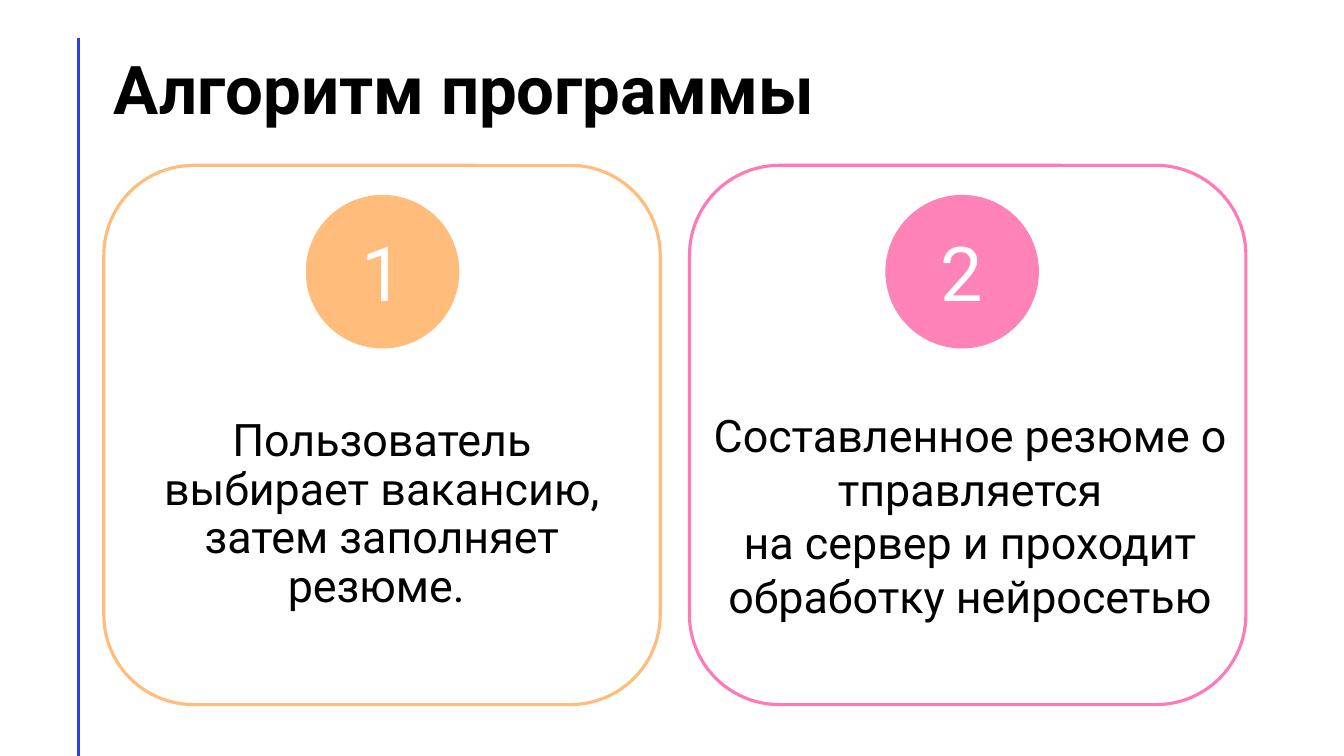
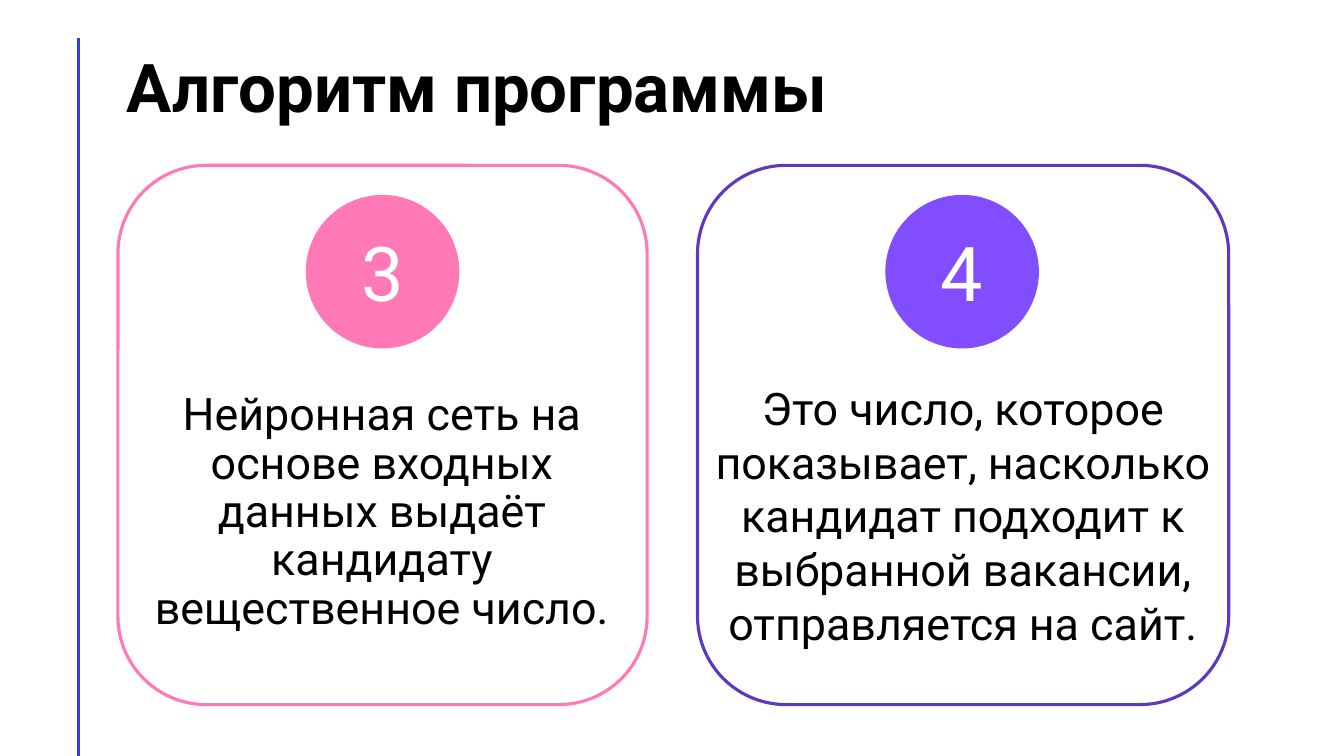
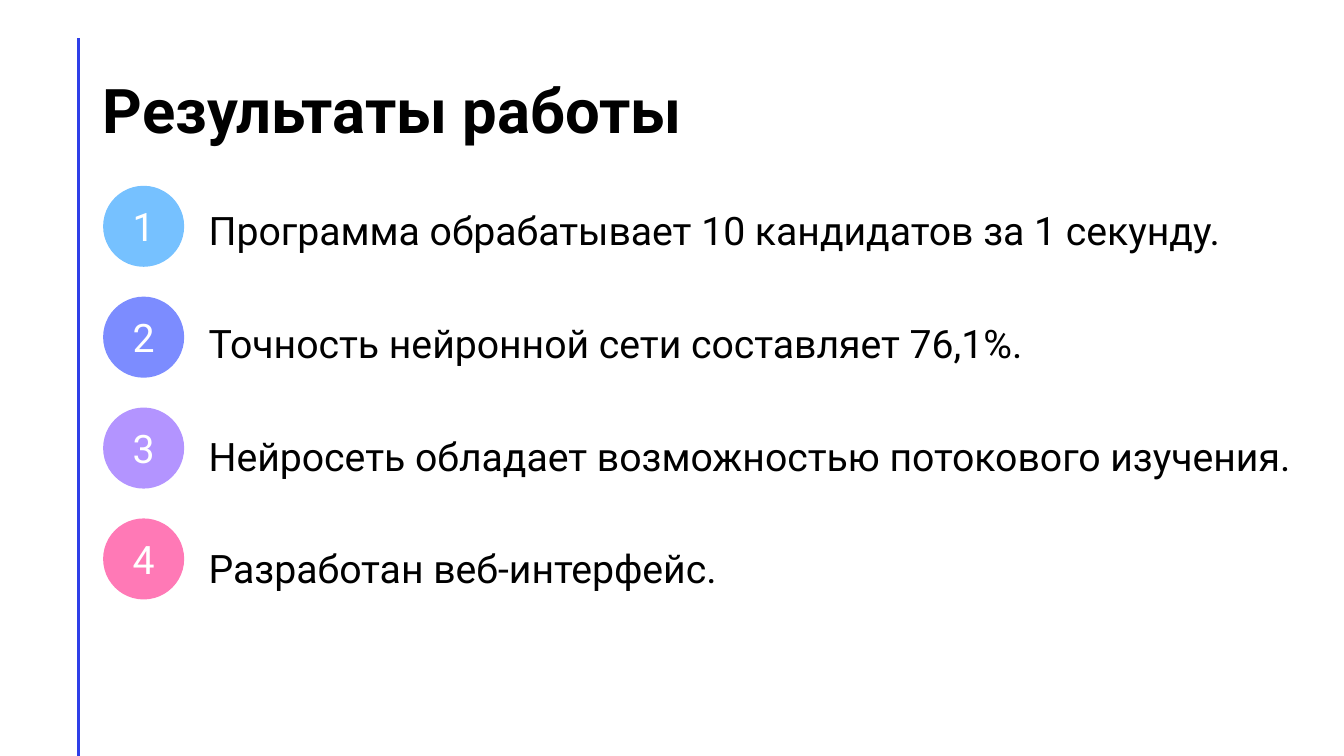
import pptx
import pptx.util
import pptx.dml.color
import pptx.enum.shapes
import pptx.enum.text
import lxml.etree

Inches, Pt = pptx.util.Inches, pptx.util.Pt
Align, Anchor = pptx.enum.text.PP_ALIGN, pptx.enum.text.MSO_ANCHOR
Shape = pptx.enum.shapes.MSO_SHAPE
DRAWING = "{http://schemas.openxmlformats.org/drawingml/2006/main}"

FONT = "Roboto"
BLACK, WHITE, RULE = "000000", "FFFFFF", "2F3FE8"
ORANGE, PINK, ROSE = "FFBC7A", "FF79B6", "FF83B6"
VIOLET, INDIGO = "814DFF", "5F39BD"
NO_BREAK_SPACE = chr(160)

# Cards: number, text ("_" is a no-break space), left, width, outline, circle.
ALGORITHM = [
    {"title": "Алгоритм программы", "title_at": (1.03, 0.19),
     "body_height": 3.3, "body_anchor": Anchor.MIDDLE,
     "cards": [
         ("1", "Пользователь выбирает_вакансию, затем_заполняет резюме._",
          1.03, 5.52, ORANGE, ORANGE),
         ("2", "Составленное_резюме_отправляется на_сервер_и_проходит "
               "обработку нейросетью", 6.84, 5.52, PINK, ROSE)],
     "text_boxes": [(1.16, 5.26), (6.92, 5.41)]},
    {"title": "Алгоритм программы", "title_at": (1.16, 0.18),
     "body_height": 2.88, "body_anchor": Anchor.BOTTOM,
     "cards": [
         ("3", "Нейронная сеть на основе входных данных выдаёт кандидату "
               "вещественное число.", 1.17, 5.25, PINK, PINK),
         ("4", "Это число, которое показывает, насколько кандидат подходит к "
               "выбранной вакансии, отправляется на сайт.",
          6.92, 5.27, INDIGO, VIOLET)],
     "text_boxes": [(1.16, 5.26), (6.92, 5.27)]},
]
CARD_TOP, CARD_HEIGHT = 1.64, 5.35
CARD_CIRCLE_TOP, CARD_CIRCLE_SIZE = 1.94, 1.51
CARD_CIRCLE_LEFT, CARD_CIRCLE_STEP = 3.04, 5.75
CARD_TEXT_TOP, CARD_TEXT_HEIGHT = 3.46, 3.3

RESULTS_TITLE = "Результаты работы"
RESULTS = [
    ("Программа обрабатывает 10 кандидатов за 1 секунду.", "76C1FF"),
    ("Точность_нейронной сети_составляет 76,1%.", "7C8CFF"),
    ("Нейросеть обладает возможностью потокового изучения.", "B394FF"),
    ("Разработан веб-интерфейс.", PINK),
]
RESULT_LEFT, RESULT_TOP, RESULT_STEP, RESULT_SIZE = 1.03, 1.85, 1.1, 0.79


def color(value):
    return pptx.dml.color.RGBColor.from_string(value)


def with_no_break_spaces(text):
    return text.replace("_", NO_BREAK_SPACE)


def place(shape, left, top, width, height):
    shape.left, shape.top = Inches(left), Inches(top)
    shape.width, shape.height = Inches(width), Inches(height)


def style(para, size, ink=BLACK, bold=False, align=Align.LEFT,
          line_spacing=1.0, before=0, after=0):
    para.font.name, para.font.size, para.font.bold = FONT, Pt(size), bold
    para.font.color.rgb = color(ink)
    para.alignment, para.line_spacing = align, line_spacing
    para.space_before, para.space_after = Pt(before), Pt(after)


def remove_bullet(para):
    properties = para._p.get_or_add_pPr()
    properties.set("marL", "0")
    properties.set("indent", "0")
    lxml.etree.SubElement(properties, DRAWING + "buNone")


def set_up_frame(shape, anchor):
    frame = shape.text_frame
    frame.word_wrap = True
    frame.auto_size = pptx.enum.text.MSO_AUTO_SIZE.NONE
    frame.vertical_anchor = anchor
    return frame


def add_page(deck, title, left, top, size):
    page = deck.slides.add_slide(deck.slide_layouts[1])
    place(page.shapes.title, left, top, 11.5, 1.45)
    frame = set_up_frame(page.shapes.title, Anchor.MIDDLE)
    frame.text = title
    style(frame.paragraphs[0], size, bold=True, line_spacing=0.9)
    return page


def add_circle(page, number, left, top, diameter, fill, size):
    circle = page.shapes.add_shape(Shape.OVAL, 0, 0, 0, 0)
    place(circle, left, top, diameter, diameter)
    circle.shadow.inherit = False
    circle.fill.solid()
    circle.fill.fore_color.rgb = circle.line.color.rgb = color(fill)
    circle.line.width = Pt(1)
    frame = set_up_frame(circle, Anchor.MIDDLE)
    frame.text = number
    style(frame.paragraphs[0], size, WHITE, align=Align.CENTER)


def add_card(page, left, width, outline):
    card = page.shapes.add_shape(Shape.ROUNDED_RECTANGLE, 0, 0, 0, 0)
    place(card, left, CARD_TOP, width, CARD_HEIGHT)
    card.shadow.inherit = False
    card.fill.background()
    card.line.color.rgb = color(outline)
    card.line.width = Pt(2.25)


def add_rule_to_layout(deck, page):
    """Draw the vertical rule once, on the layout that all pages use."""
    rule = page.shapes.add_connector(
        pptx.enum.shapes.MSO_CONNECTOR.STRAIGHT,
        Inches(0.78), Inches(0.38), Inches(0.78), Inches(7.5))
    rule.line.color.rgb = color(RULE)
    rule.line.width = Pt(2)
    lxml.etree.SubElement(rule.element.spPr, DRAWING + "effectLst")
    deck.slide_layouts[1].shapes.element.append(rule.element)


def build_algorithm(deck, content):
    page = add_page(deck, content["title"], *content["title_at"], 48)
    body = page.placeholders[1]
    text_box = page.shapes.add_textbox(0, 0, 0, 0)
    holders = [(body, content["body_height"], content["body_anchor"], 0.9),
               (text_box, CARD_TEXT_HEIGHT, Anchor.MIDDLE, 1.0)]
    for index, (number, text, left, width, outline, fill) in enumerate(content["cards"]):
        holder, height, anchor, line_spacing = holders[index]
        text_left, text_width = content["text_boxes"][index]
        place(holder, text_left, CARD_TEXT_TOP, text_width, height)
        frame = set_up_frame(holder, anchor)
        frame.text = with_no_break_spaces(text)
        para = frame.paragraphs[0]
        style(para, 32, align=Align.CENTER, line_spacing=line_spacing, before=10)
        remove_bullet(para)
        add_circle(page, number, CARD_CIRCLE_LEFT + index * CARD_CIRCLE_STEP,
                   CARD_CIRCLE_TOP, CARD_CIRCLE_SIZE, fill, 54)
        add_card(page, left, width, outline)
    return page


def build_results(deck):
    page = add_page(deck, RESULTS_TITLE, 0.92, 0.4, 44)
    body = page.placeholders[1]
    place(body, 1.97, 2.05, 11.3, 4.76)
    frame = set_up_frame(body, Anchor.TOP)
    frame.text = "\n".join(with_no_break_spaces(text) for text, fill in RESULTS)
    for index, para in enumerate(frame.paragraphs):
        style(para, 28, line_spacing=0.9, before=10, after=40.3)
        remove_bullet(para)
        add_circle(page, str(index + 1), RESULT_LEFT, RESULT_TOP + index * RESULT_STEP,
                   RESULT_SIZE, RESULTS[index][1], 28)


def main():
    deck = pptx.Presentation()
    deck.slide_width, deck.slide_height = Inches(40 / 3), Inches(7.5)
    pages = [build_algorithm(deck, content) for content in ALGORITHM]
    build_results(deck)
    add_rule_to_layout(deck, pages[0])
    deck.save("out.pptx")


if __name__ == "__main__":
    main()
